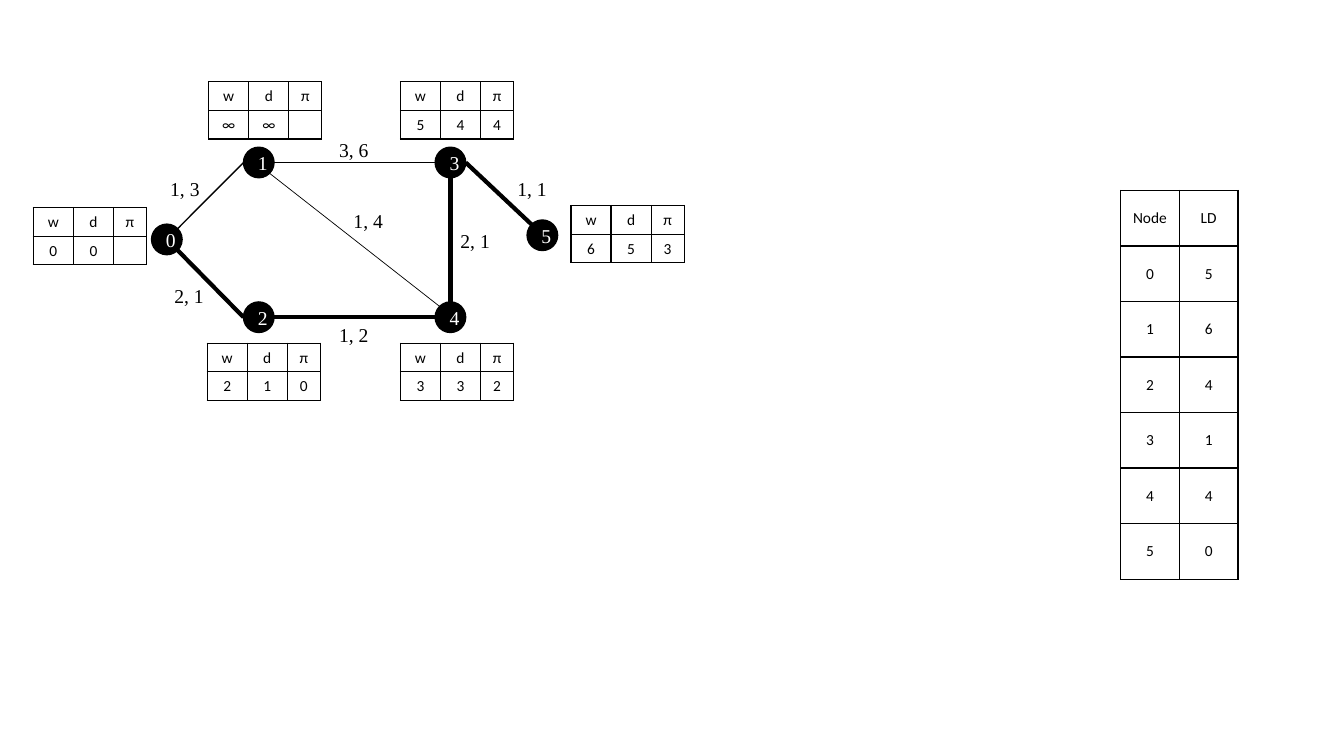
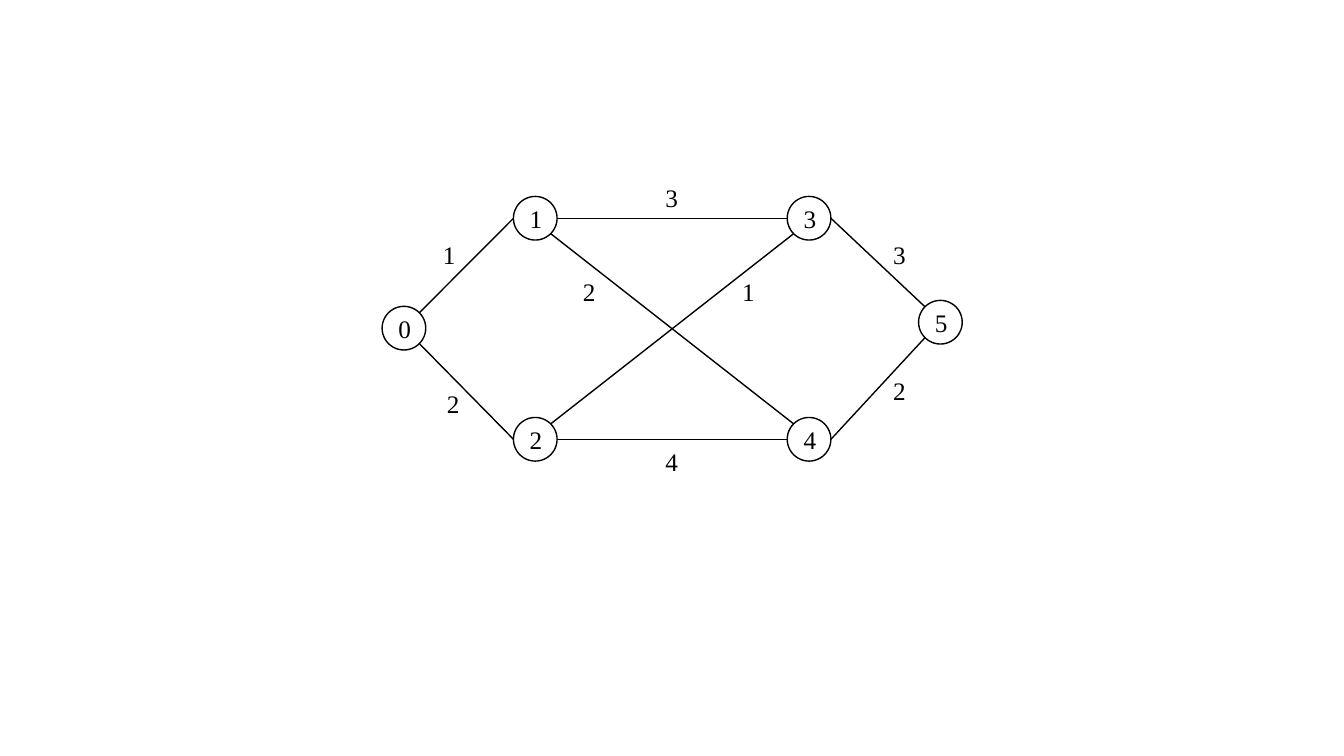
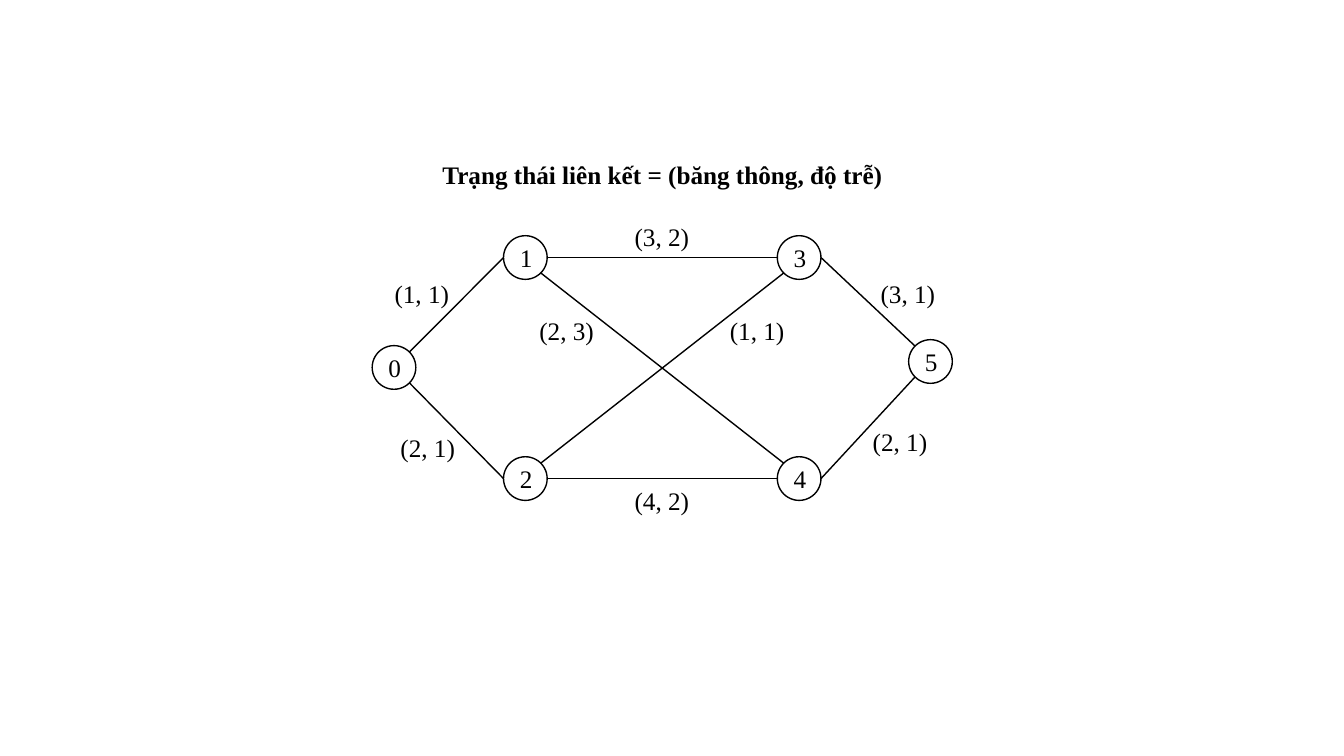
"""Builds three slides of routing graphs with link labels and node tables."""
from dataclasses import dataclass, field
from math import cos, radians, sin

from lxml import etree
from pptx import Presentation
from pptx import util as u
from pptx.dml.color import RGBColor
from pptx.enum import shapes, text
from pptx.oxml.ns import qn


@dataclass(frozen=True)
class Theme:
    """Colours, fonts, type sizes and line widths of the deck."""
    ink: str = "000000"
    paper: str = "FFFFFF"
    serif: str = "Times New Roman"
    sans: str = "Calibri"
    body: int = 18
    compact: int = 14
    cell: int = 11
    hairline: float = 0.5
    thin: float = 1
    thick: float = 3


THEME = Theme()

NODE_SIZE = 1.1
NODE_SPOTS = {
    "0": (0, 2.77), "2": (3.31, 5.57), "1": (3.31, 0),
    "3": (10.21, 0), "4": (10.21, 5.57), "5": (13.52, 2.62),
}
COMPASS = {"E": 0, "SE": 45, "S": 90, "SW": 135, "W": 180, "NW": 225, "N": 270, "NE": 315}
LINK_SITES = {
    "01": ("NE", "W"), "13": ("E", "W"), "35": ("E", "NW"), "02": ("SE", "W"),
    "24": ("E", "W"), "45": ("E", "SW"), "14": ("SE", "NW"), "23": ("NE", "SW"),
    "34": ("S", "N"),
}
LABEL_SPOTS = {
    "01": (1.69, 1.47), "02": (1.79, 5.21), "13": (7.3, 0.03), "24": (7.3, 6.68),
    "14": (5.22, 2.39), "23": (9.23, 2.39), "35": (13.04, 1.47), "45": (13.04, 4.9),
}


@dataclass
class Graph:
    """A network with its place, scale and look."""
    left: float
    top: float
    labels: dict
    spots: dict = field(default_factory=dict)
    widths: dict = field(default_factory=dict)
    scale: float = 1
    node_fill: str = THEME.paper
    node_ink: str = THEME.ink
    size: int = THEME.body
    label_box: tuple = (2.06, 1.02)

    def place(self, x, y):
        """Turn graph coordinates into slide coordinates."""
        return self.left + x * self.scale, self.top + y * self.scale

    def site(self, node, direction):
        """Find the point of a node's rim in a compass direction."""
        radius, angle = NODE_SIZE / 2, radians(COMPASS[direction])
        x, y = NODE_SPOTS[node]
        return self.place(x + radius * (1 + cos(angle)), y + radius * (1 + sin(angle)))


def rgb(colour):
    """Make a colour from its hex form."""
    return RGBColor.from_string(colour)


def cm(*lengths):
    """Convert several lengths to Cm."""
    return [u.Cm(length) for length in lengths]


def write(frame, words, font, size, colour=THEME.ink, bold=False, align=text.PP_ALIGN.CENTER):
    """Put formatted words into a text frame."""
    frame.text = words
    paragraph = frame.paragraphs[0]
    paragraph.alignment = align
    for run in paragraph.runs:
        run.font.name, run.font.size, run.font.bold = font, u.Pt(size), bold
        run.font.color.rgb = rgb(colour)
    if not words:
        paragraph._p.get_or_add_endParaRPr().set("sz", str(size * 100))


def add_label(slide, words, left, top, width, height, size, wrap=True, **style):
    """Add a serif text box."""
    frame = slide.shapes.add_textbox(*cm(left, top, width, height)).text_frame
    frame.word_wrap = wrap
    frame.auto_size = text.MSO_AUTO_SIZE.SHAPE_TO_FIT_TEXT
    write(frame, words, THEME.serif, size, **style)


def add_node(slide, graph, name):
    """Add a numbered circle."""
    diameter = NODE_SIZE * graph.scale
    node = slide.shapes.add_shape(
        shapes.MSO_SHAPE.OVAL, *cm(*graph.place(*NODE_SPOTS[name]), diameter, diameter))
    node.shadow.inherit = False
    node.fill.solid()
    node.fill.fore_color.rgb = rgb(graph.node_fill)
    node.line.color.rgb = rgb(THEME.ink)
    node.line.width = u.Pt(THEME.thin)
    node.text_frame.vertical_anchor = text.MSO_ANCHOR.MIDDLE
    write(node.text_frame, name, THEME.serif, graph.size, graph.node_ink)


def add_link(slide, graph, ends):
    """Add the line between two nodes."""
    start, finish = (graph.site(*end) for end in zip(ends, LINK_SITES[ends]))
    link = slide.shapes.add_connector(shapes.MSO_CONNECTOR.STRAIGHT, *cm(*start, *finish))
    link.line.color.rgb = rgb(THEME.ink)
    link.line.width = u.Pt(graph.widths.get(ends, THEME.thin))
    etree.SubElement(link._element.spPr, qn("a:effectLst"))


def add_graph(slide, graph):
    """Draw nodes, links and centred link labels."""
    for name in NODE_SPOTS:
        add_node(slide, graph, name)
    for ends in graph.labels:
        add_link(slide, graph, ends)
    spots = LABEL_SPOTS | graph.spots
    width, height = graph.label_box
    for ends, words in graph.labels.items():
        x, y = graph.place(*spots[ends])
        add_label(slide, words, x - width / 2, y - height / 2, width, height, graph.size)


def add_borders(cell):
    """Rule all four sides of a cell."""
    properties = cell._tc.get_or_add_tcPr()
    for position, side in enumerate(("a:lnL", "a:lnR", "a:lnT", "a:lnB")):
        border = etree.Element(qn(side), w=str(u.Pt(THEME.thin)))
        fill = etree.SubElement(border, qn("a:solidFill"))
        etree.SubElement(fill, qn("a:srgbClr"), val=THEME.ink)
        properties.insert(position, border)


def add_grid(slide, left, top, widths, row_height, rows):
    """Add a plain ruled table."""
    grid = slide.shapes.add_table(
        len(rows), len(widths), *cm(left, top, sum(widths), row_height * len(rows))).table
    grid.first_row = grid.horz_banding = False
    for column, width in zip(grid.columns, widths):
        column.width = u.Cm(width)
    for line, values in zip(grid.rows, rows):
        line.height = u.Cm(row_height)
        for cell, value in zip(line.cells, values):
            cell.fill.background()
            cell.vertical_anchor = text.MSO_ANCHOR.MIDDLE
            write(cell.text_frame, value, THEME.sans, THEME.cell)
            add_borders(cell)


def build_routing(slide):
    """Show the widest path tree with its node tables."""
    add_graph(slide, Graph(
        3.82, 3.71, scale=0.7, node_fill=THEME.ink, node_ink=THEME.paper,
        size=THEME.compact, label_box=(1.45, 0.86),
        labels={"01": "1, 3", "02": "2, 1", "13": "3, 6", "24": "1, 2",
                "14": "1, 4", "35": "1, 1", "34": "2, 1"},
        spots={"01": (1.2, 1.5), "02": (1.35, 5.35), "13": (7.28, 0.1), "24": (7.28, 6.75),
               "14": (7.8, 2.65), "35": (13.7, 1.5), "34": (11.65, 3.37)},
        widths={"14": THEME.hairline} | dict.fromkeys(("35", "02", "24", "34"), THEME.thick)))
    node_states = (
        (0.84, 5.23, ("0", "0", "")),
        (5.26, 2.06, ("∞", "∞", "")),
        (10.09, 2.06, ("5", "4", "4")),
        (5.22, 8.65, ("2", "1", "0")),
        (10.09, 8.65, ("3", "3", "2")),
        (14.39, 5.18, ("6", "5", "3")),
    )
    for left, top, state in node_states:
        add_grid(slide, left, top, (1.01, 1.01, 0.83), 0.72, (("w", "d", "π"), state))
    add_grid(slide, 28.24, 4.8, (1.48, 1.48), 1.4, [("Node", "LD"), *zip("012345", "564140")])


def build_bandwidth(slide):
    """Show the network with one weight for each link."""
    add_graph(slide, Graph(9.63, 4.95, labels={
        "01": "1", "02": "2", "13": "3", "24": "4", "14": "2", "23": "1", "35": "3", "45": "2"}))


def build_link_state(slide):
    """Show the network with bandwidth and delay for each link."""
    add_graph(slide, Graph(
        9.38, 5.94,
        labels={"01": "(1, 1)", "02": "(2, 1)", "13": "(3, 2)", "24": "(4, 2)",
                "14": "(2, 3)", "23": "(1, 1)", "35": "(3, 1)", "45": "(2, 1)"},
        spots={"01": (1.25, 1.45), "02": (1.4, 5.35), "14": (4.9, 2.4),
               "23": (9.7, 2.4), "35": (13.5, 1.45), "45": (13.3, 5.2)}))
    add_label(slide, "Trạng thái liên kết = (băng thông, độ trễ)", 10.9, 3.89, 11.71, 1.02,
              THEME.body, wrap=False, bold=True, align=text.PP_ALIGN.LEFT)


def main():
    """Build and save the deck."""
    deck = Presentation()
    deck.slide_width, deck.slide_height = cm(33.87, 19.05)
    for build in (build_routing, build_bandwidth, build_link_state):
        build(deck.slides.add_slide(deck.slide_layouts[6]))
    deck.save("out.pptx")


if __name__ == "__main__":
    main()
